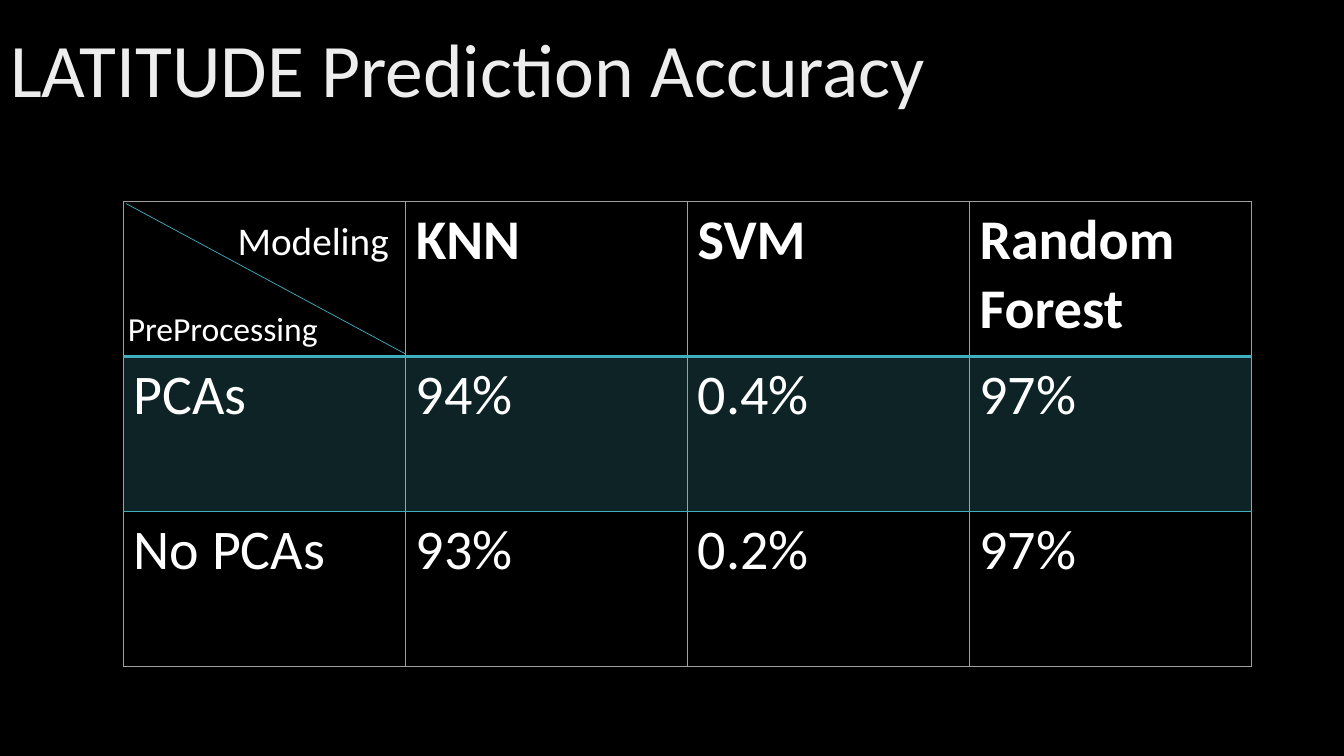
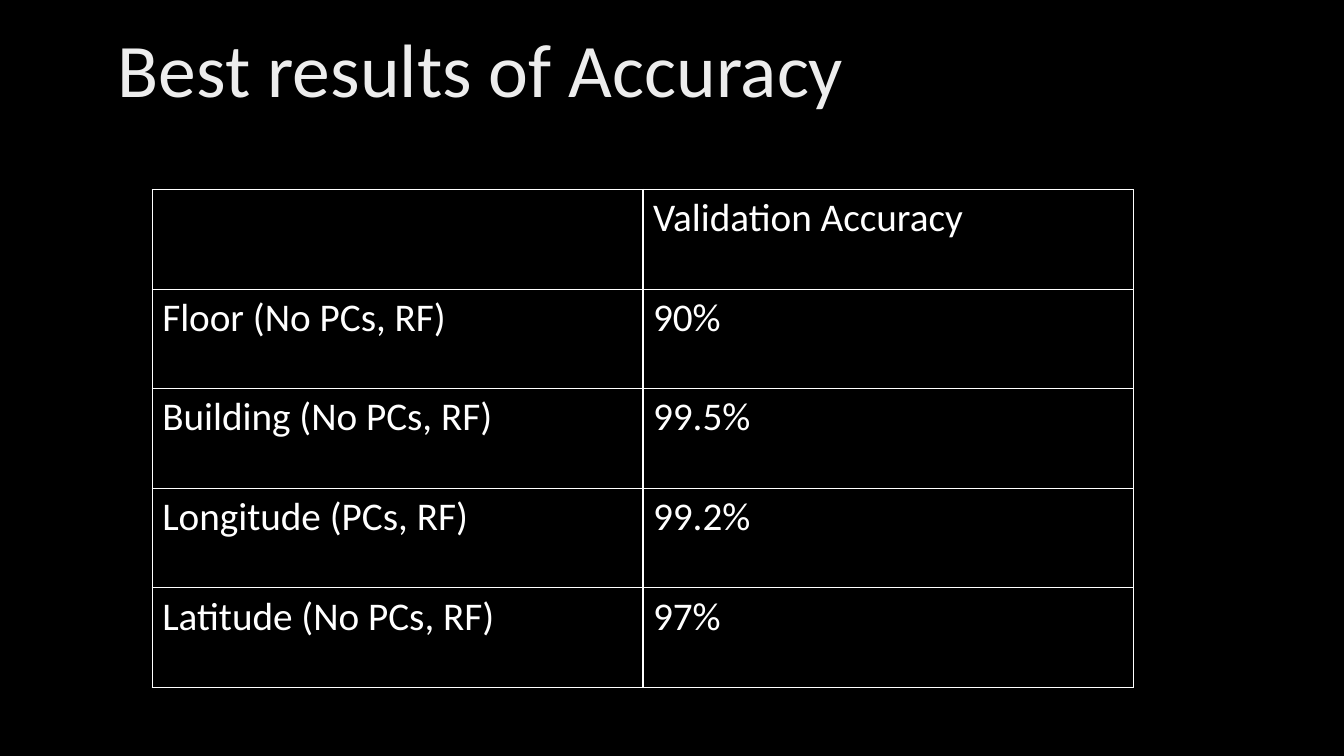
from lxml import etree
from pptx import Presentation
from pptx.dml.color import RGBColor
from pptx.enum.shapes import MSO_CONNECTOR as CONNECTOR
from pptx.enum.text import MSO_ANCHOR as ANCHOR, MSO_AUTO_SIZE as AUTO_SIZE, PP_ALIGN as ALIGN
from pptx.oxml.ns import qn
from pptx.util import Pt

# Content
LATITUDE_TITLE = "LATITUDE Prediction Accuracy"
LATITUDE_ROWS = [
    ("", "KNN", "SVM", "Random Forest"),
    ("PCAs", "94%", "0.4%", "97%"),
    ("No PCAs", "93%", "0.2%", "97%"),
]
# Text, left, top, width, height, size, wrap
CORNER_LABELS = [
    ("Modeling", 162.7, 151.2, 126.7, 41, 28, True),
    ("PreProcessing", 84.2, 216.7, 157, 36, 24, False),
]
CORNER_DIAGONAL = (90, 145.4, 289.4, 252.7)

BEST_TITLE = "Best results of Accuracy"
BEST_ROWS = [
    ("", "Validation Accuracy"),
    ("Floor (No PCs, RF)", "90%"),
    ("Building (No PCs, RF)", "99.5%"),
    ("Longitude (PCs, RF)", "99.2%"),
    ("Latitude (No PCs, RF)", "97%"),
]

# Shared style
FONT = "Calibri"
COLORS = {
    "background": "000000",
    "title": "EDEDED",
    "text": "FFFFFF",
    "accent": "41AEBD",
    "band": "0D2326",
    "grid": "A0A0A0",
}


def color(name):
    return RGBColor.from_string(COLORS[name])


def write(frame, text, size, tint="text", bold=False, line_spacing=None):
    paragraph = frame.paragraphs[0]
    paragraph.alignment = ALIGN.LEFT
    if line_spacing:
        paragraph.line_spacing = line_spacing
    run = paragraph.add_run()
    run.text = text
    run.font.name = FONT
    run.font.size = Pt(size)
    run.font.bold = bold
    run.font.color.rgb = color(tint)


def add_titled_slide(prs, text, left):
    slide = prs.slides.add_slide(prs.slide_layouts[5])
    title = slide.shapes.title
    title.left, title.top, title.width, title.height = Pt(left), Pt(0), Pt(828), Pt(104.4)
    frame = title.text_frame
    frame.auto_size = AUTO_SIZE.NONE
    frame.vertical_anchor = ANCHOR.MIDDLE
    write(frame, text, 54, tint="title", line_spacing=0.9)
    return slide


def set_borders(cell, borders):
    """borders: (colour, width) for left, right, top and bottom."""
    props = cell._tc.get_or_add_tcPr()
    for position, (side, (tint, width)) in enumerate(zip("LRTB", borders)):
        line = etree.Element(qn(f"a:ln{side}"), w=str(Pt(width)))
        fill = etree.SubElement(line, qn("a:solidFill"))
        etree.SubElement(fill, qn("a:srgbClr"), val=COLORS[tint])
        props.insert(position, line)


def add_grid(slide, rows, left, top, col_width, row_height, size,
             vertical, horizontals, bold_header=False, band_rows=()):
    """horizontals: one (colour, width) for each rule from top to bottom."""
    n_rows, n_cols = len(rows), len(rows[0])
    table = slide.shapes.add_table(
        n_rows, n_cols, Pt(left), Pt(top),
        Pt(col_width * n_cols), Pt(row_height * n_rows)).table
    table.first_row = table.horz_banding = False
    for column in table.columns:
        column.width = Pt(col_width)
    for r, texts in enumerate(rows):
        table.rows[r].height = Pt(row_height)
        for c, text in enumerate(texts):
            cell = table.cell(r, c)
            if r in band_rows:
                cell.fill.solid()
                cell.fill.fore_color.rgb = color("band")
            else:
                cell.fill.background()
            set_borders(cell, (vertical, vertical, horizontals[r], horizontals[r + 1]))
            if text:
                write(cell.text_frame, text, size, bold=bold_header and r == 0)


def add_label(slide, text, left, top, width, height, size, wrap):
    frame = slide.shapes.add_textbox(Pt(left), Pt(top), Pt(width), Pt(height)).text_frame
    frame.word_wrap = wrap
    frame.auto_size = AUTO_SIZE.SHAPE_TO_FIT_TEXT
    write(frame, text, size)


def add_line(slide, ends, tint, width):
    line = slide.shapes.add_connector(CONNECTOR.STRAIGHT, *map(Pt, ends))
    line.line.color.rgb = color(tint)
    line.line.width = Pt(width)
    etree.SubElement(line._element.spPr, qn("a:effectLst"))


def main():
    prs = Presentation()
    prs.slide_width, prs.slide_height = Pt(960), Pt(540)
    backdrop = prs.slide_master.background.fill
    backdrop.solid()
    backdrop.fore_color.rgb = color("background")

    # Latitude accuracy by model and preprocessing
    latitude = add_titled_slide(prs, LATITUDE_TITLE, 0)
    outer = ("grid", 0.75)
    add_grid(latitude, LATITUDE_ROWS, 88.4, 144, 201.4, 110.6, 40,
             vertical=outer,
             horizontals=[outer, ("accent", 2), ("accent", 1), outer],
             bold_header=True, band_rows=(1,))
    add_line(latitude, CORNER_DIAGONAL, "accent", 0.5)
    for label in CORNER_LABELS:
        add_label(latitude, *label)

    # Best accuracy for each target
    best = add_titled_slide(prs, BEST_TITLE, 77)
    rule = ("text", 1)
    add_grid(best, BEST_ROWS, 108.7, 135.4, 350.6, 71.1, 28,
             vertical=rule, horizontals=[rule] * (len(BEST_ROWS) + 1))

    prs.save("out.pptx")


if __name__ == "__main__":
    main()
